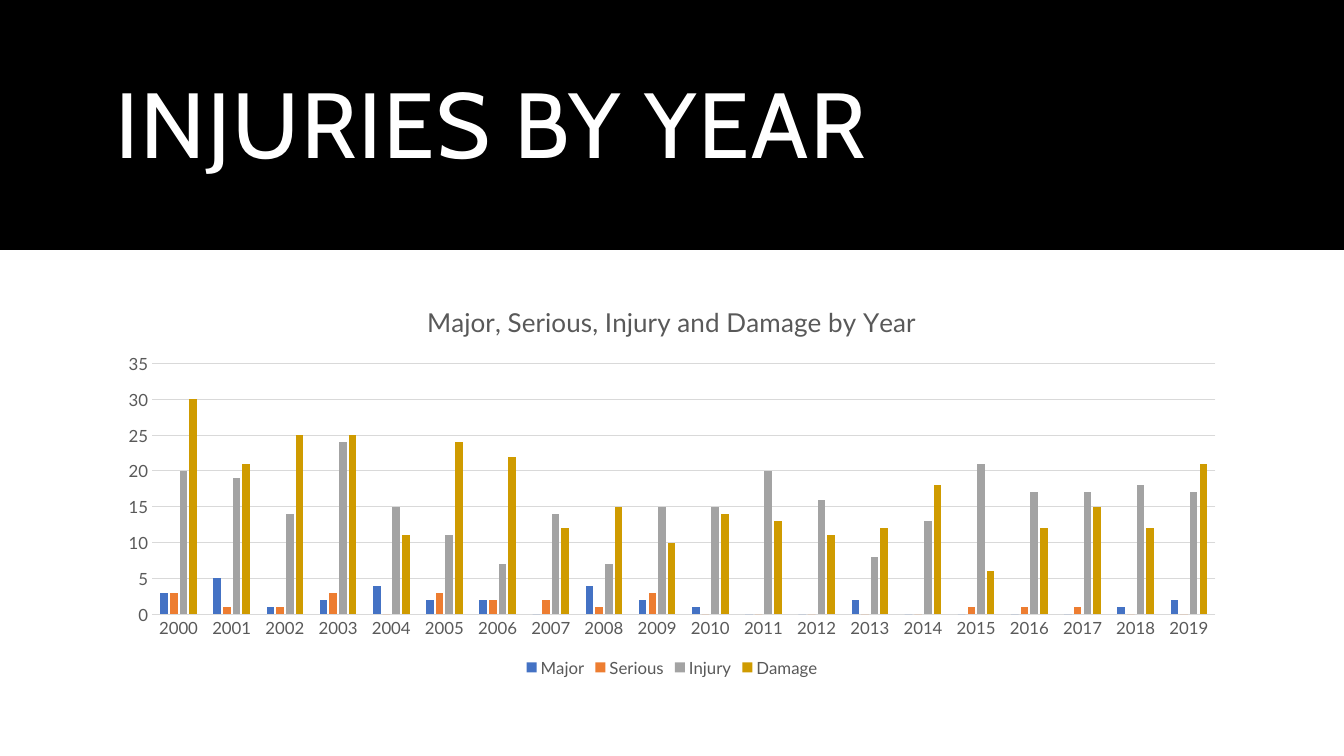
from dataclasses import dataclass

import pptx
import pptx.chart.data
import pptx.dml.color
import pptx.enum.chart
import pptx.enum.text
import pptx.util
from pptx.util import Inches


@dataclass(frozen=True)
class Theme:
    heading_font: str = "Cabin"
    body_font: str = "Lato"
    band: str = "000000"
    heading: str = "FFFFFF"
    label: str = "595959"
    grid: str = "D9D9D9"
    heading_size: float = 66
    chart_title_size: float = 18.6
    label_size: float = 12
    line_width: float = 0.75


THEME = Theme()
YEARS = [str(year) for year in range(2000, 2020)]
SERIES = [
    ("Major", "4472C4", (3, 5, 1, 2, 4, 2, 2, 0, 4, 2, 1, 0, 0, 2, 0, 0, 0, 0, 1, 2)),
    ("Serious", "ED7D31", (3, 1, 1, 3, 0, 3, 2, 2, 1, 3, 0, 0, 0, 0, 0, 1, 1, 1, 0, 0)),
    ("Injury", "A3A3A3",
     (20, 19, 14, 24, 15, 11, 7, 14, 7, 15, 15, 20, 16, 8, 13, 21, 17, 17, 18, 17)),
    ("Damage", "CF9B00",
     (30, 21, 25, 25, 11, 24, 22, 12, 15, 10, 14, 13, 11, 12, 18, 6, 12, 15, 12, 21)),
]


def rgb(value):
    return pptx.dml.color.RGBColor.from_string(value)


def style_font(font, name, size, color):
    font.name = name
    font.size = pptx.util.Pt(size)
    font.bold = False
    font.color.rgb = rgb(color)


def style_line(line):
    line.color.rgb = rgb(THEME.grid)
    line.width = pptx.util.Pt(THEME.line_width)


def add_band(page, width, height):
    band = page.shapes.add_shape(
        pptx.enum.shapes.MSO_SHAPE.RECTANGLE, 0, 0, width, height)
    band.shadow.inherit = False
    band.fill.solid()
    band.fill.fore_color.rgb = rgb(THEME.band)
    band.line.fill.background()


def add_heading(page, text):
    box = page.shapes.add_textbox(Inches(1.05), Inches(0.35), Inches(11.23), Inches(1.86))
    frame = box.text_frame
    frame.word_wrap = True
    frame.vertical_anchor = pptx.enum.text.MSO_ANCHOR.MIDDLE
    para = frame.paragraphs[0]
    para.line_spacing = 0.9
    style_font(para.font, THEME.heading_font, THEME.heading_size, THEME.heading)
    span = para.add_run()
    span.text = text
    span.font._element.set("spc", "120")


def style_axes(chart):
    for axis in (chart.category_axis, chart.value_axis):
        axis.major_tick_mark = pptx.enum.chart.XL_TICK_MARK.NONE
        axis.minor_tick_mark = pptx.enum.chart.XL_TICK_MARK.NONE
        style_font(axis.tick_labels.font, THEME.body_font, THEME.label_size, THEME.label)
    style_line(chart.category_axis.format.line)
    values = chart.value_axis
    values.minimum_scale, values.maximum_scale, values.major_unit = 0, 35, 5
    values.format.line.fill.background()
    style_line(values.major_gridlines.format.line)


def add_column_chart(page, title):
    data = pptx.chart.data.CategoryChartData()
    data.categories = YEARS
    for name, _, values in SERIES:
        data.add_series(name, values)
    chart = page.shapes.add_chart(
        pptx.enum.chart.XL_CHART_TYPE.COLUMN_CLUSTERED,
        Inches(1.05), Inches(2.83), Inches(11.23), Inches(3.93), data).chart
    style_font(chart.font, THEME.body_font, THEME.label_size, THEME.label)

    chart.has_title = True
    para = chart.chart_title.text_frame.paragraphs[0]
    para.text = title
    style_font(para.font, THEME.body_font, THEME.chart_title_size, THEME.label)
    chart.chart_title.include_in_layout = False

    chart.has_legend = True
    chart.legend.position = pptx.enum.chart.XL_LEGEND_POSITION.BOTTOM
    chart.legend.include_in_layout = False
    style_font(chart.legend.font, THEME.body_font, THEME.label_size, THEME.label)

    plot = chart.plots[0]
    plot.vary_by_categories = False
    plot.gap_width = 219
    plot.overlap = -27
    for series, (_, color, _) in zip(plot.series, SERIES):
        series.invert_if_negative = False
        series.format.fill.solid()
        series.format.fill.fore_color.rgb = rgb(color)
    style_axes(chart)


def main():
    deck = pptx.Presentation()
    deck.slide_width, deck.slide_height = Inches(13.33), Inches(7.5)
    page = deck.slides.add_slide(deck.slide_layouts[6])
    add_band(page, deck.slide_width, Inches(2.48))
    add_heading(page, "INJURIES BY YEAR")
    add_column_chart(page, "Major, Serious, Injury and Damage by Year")
    deck.save("out.pptx")


if __name__ == "__main__":
    main()
